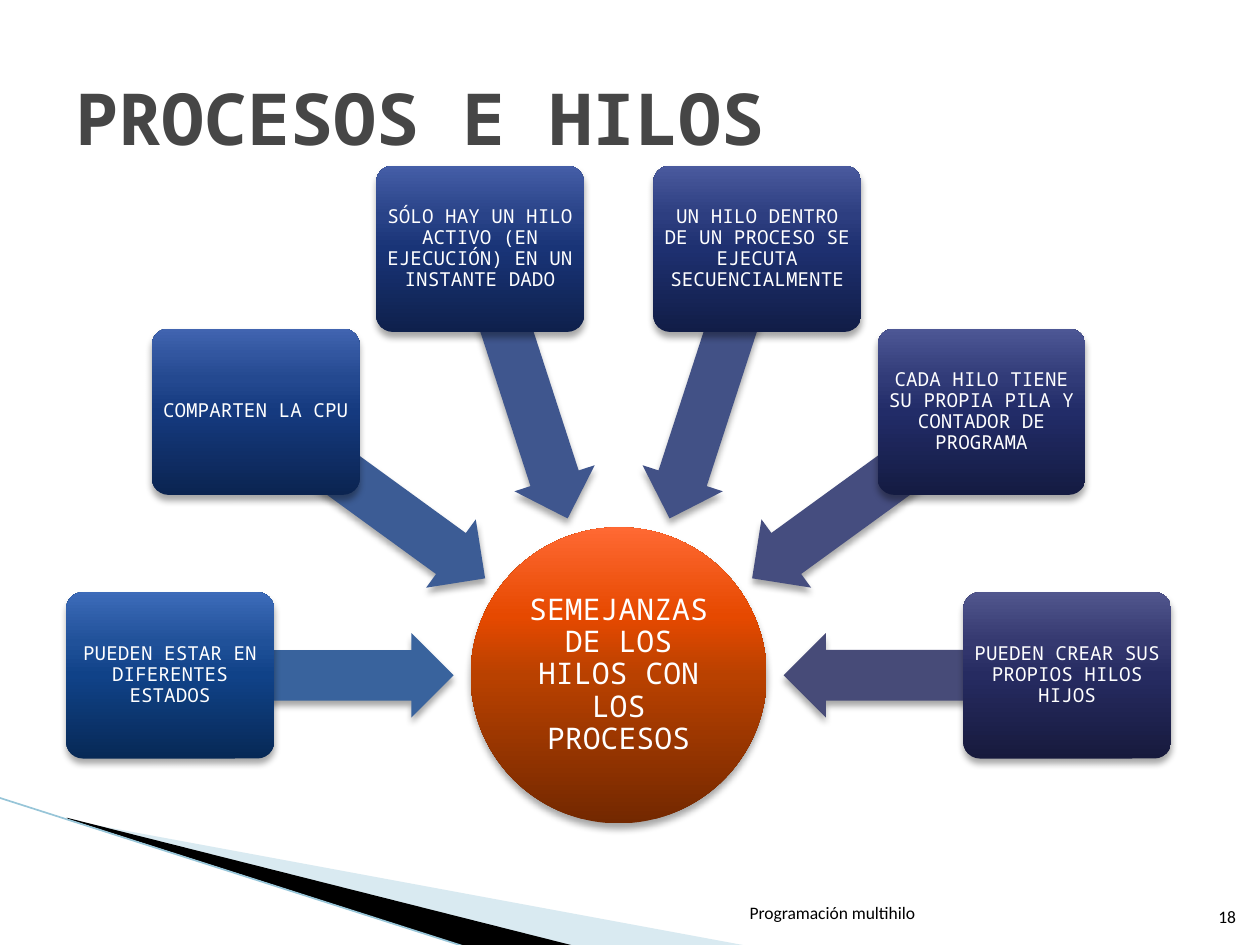
"""Build the slide on what threads and processes have in common."""
import copy
import math

import lxml.etree
import pptx
import pptx.dml.color
import pptx.enum.shapes
import pptx.enum.text
import pptx.oxml.ns
import pptx.util

Inches = pptx.util.Inches
Pt = pptx.util.Pt
RGB = pptx.dml.color.RGBColor
KIND = pptx.enum.shapes.MSO_SHAPE
ALIGN = pptx.enum.text.PP_ALIGN
ANCHOR = pptx.enum.text.MSO_ANCHOR
qn = pptx.oxml.ns.qn

WHITE = RGB(0xFF, 0xFF, 0xFF)
BLACK = RGB(0x00, 0x00, 0x00)
GRAY = RGB(0x46, 0x46, 0x46)
PALE = RGB(0xA0, 0xCB, 0xDC)
EDGE = RGB(0x97, 0xC5, 0xD8)
MONO = "Noto Sans Mono"
STOPS = (0, 0.5, 0.7, 1)
ORANGE = ("732800", "B94100", "E64900", "FF6933")


def write(shape, text, align, anchor, inset, font):
    frame = shape.text_frame
    sides = ("margin_left", "margin_top", "margin_right", "margin_bottom")
    form = {"word_wrap": True, "vertical_anchor": anchor}
    form.update(dict.fromkeys(sides, Inches(inset)))
    for name, value in form.items():
        setattr(frame, name, value)
    line = frame.paragraphs[0]
    line.alignment = align
    run = line.add_run()
    run.text = text
    for name, value in font.items():
        if name == "color":
            run.font.color.rgb = value
        else:
            setattr(run.font, name, value)
    return line


def draw(kind, mid_x, mid_y, width, height, tones):
    shape = slide.shapes.add_shape(
        kind, Inches(mid_x - width / 2), Inches(mid_y - height / 2),
        Inches(width), Inches(height))
    shape.line.fill.background()
    if len(tones) == 1:
        shape.fill.solid()
        shape.fill.fore_color.rgb = RGB.from_string(tones[0])
    else:
        shape.fill.gradient()
        shape.fill.gradient_angle = 90
        stops = shape.element.spPr.find(".//" + qn("a:gsLst"))
        for _ in range(len(tones) - len(stops)):
            stops.append(copy.deepcopy(stops[0]))
        for stop, place, tone in zip(shape.fill.gradient_stops, STOPS, tones):
            stop.position = place
            stop.color.rgb = RGB.from_string(tone)
    shape.shadow.inherit = False
    shade = lxml.etree.SubElement(
        shape.element.spPr.find(qn("a:effectLst")), qn("a:outerShdw"),
        blurRad=str(Pt(4)), dist=str(Pt(3)), dir="5400000", rotWithShape="0")
    tint = lxml.etree.SubElement(shade, qn("a:srgbClr"), val="000000")
    lxml.etree.SubElement(tint, qn("a:alpha"), val="35000")
    return shape


deck = pptx.Presentation()
deck.slide_width, deck.slide_height = Inches(10), Inches(7.5)
slide = deck.slides.add_slide(deck.slide_layouts[5])

wedges = (
    (PALE, 40, ((0.55, 6.51), (5.95, 7.51), (4.56, 7.51), (0.55, 6.5))),
    (BLACK, 100, ((0.53, 6.49), (4.57, 7.51), (3.72, 7.52), (0.54, 6.5))),
)
for color, alpha, points in wedges:
    points = [(Inches(x), Inches(y)) for x, y in points]
    pen = slide.shapes.build_freeform(*points[0])
    pen.add_line_segments(points[1:])
    wedge = pen.convert_to_shape()
    wedge.shadow.inherit = False
    wedge.line.fill.background()
    wedge.fill.solid()
    wedge.fill.fore_color.rgb = color
    tint = wedge.element.spPr.find(".//" + qn("a:srgbClr"))
    lxml.etree.SubElement(tint, qn("a:alpha"), val=str(alpha * 1000))

edge = slide.shapes.add_connector(
    pptx.enum.shapes.MSO_CONNECTOR.STRAIGHT,
    Inches(-0.01), Inches(6.33), Inches(3.71), Inches(7.52))
edge.line.color.rgb = EDGE
edge.line.width = Pt(0.95)
lxml.etree.SubElement(edge.element.spPr, qn("a:effectLst"))

title = slide.shapes.title
place = {"left": 0.5, "top": 0.3, "width": 9, "height": 1.25}
for name, value in place.items():
    setattr(title, name, Inches(value))
write(title, "PROCESOS E HILOS", ALIGN.LEFT, ANCHOR.MIDDLE, 0.1,
      {"name": MONO, "size": Pt(41), "bold": True, "color": GRAY})

foot = {"name": "Calibri", "size": Pt(10), "color": BLACK}
for text, left, width in (("Programación multihilo", 4.79, 2.57),
                          ("18", 9.46, 0.4)):
    box = slide.shapes.add_textbox(
        Inches(left), Inches(7.01), Inches(width), Inches(0.4))
    write(box, text, ALIGN.RIGHT, ANCHOR.BOTTOM, 0.1 if width > 1 else 0.05,
          foot)

HUB_X, HUB_Y = 4.91, 5.36
label = {"name": MONO, "size": Pt(17), "color": WHITE}
hub = draw(KIND.OVAL, HUB_X, HUB_Y, 2.35, 2.35, ORANGE)
write(hub, "SEMEJANZAS DE LOS HILOS CON LOS PROCESOS", ALIGN.CENTER,
      ANCHOR.MIDDLE, 0.01, label).line_spacing = 0.9

label["size"] = Pt(11)
spokes = (
    ("PUEDEN ESTAR EN DIFERENTES ESTADOS", "39639D",
     ("072956", "104288", "205199", "3D6BB9")),
    ("COMPARTEN LA CPU", "3C5C95",
     ("0B2451", "153A7F", "244990", "4164B0")),
    ("SÓLO HAY UN HILO ACTIVO (EN EJECUCIÓN) EN UN INSTANTE DADO", "3F568E",
     ("0E204C", "193477", "294388", "455EA7")),
    ("UN HILO DENTRO DE UN PROCESO SE EJECUTA SECUENCIALMENTE", "425186",
     ("111D47", "1E3070", "2D3E80", "4A5A9E")),
    ("CADA HILO TIENE SU PROPIA PILA Y CONTADOR DE PROGRAMA", "454D7F",
     ("141B42", "222C68", "313B78", "4D5795")),
    ("PUEDEN CREAR SUS PROPIOS HILOS HIJOS", "474B78",
     ("171A3D", "262B61", "353970", "51568D")),
)
for index, (text, tone, tones) in enumerate(spokes):
    angle = 180 + 36 * index
    cos, sin = math.cos(math.radians(angle)), math.sin(math.radians(angle))
    arrow = draw(KIND.LEFT_ARROW, HUB_X + 2.44 * cos, HUB_Y + 2.44 * sin,
                 2.26, 0.67, (tone,))
    arrow.rotation = angle % 360
    arrow.adjustments[0], arrow.adjustments[1] = 0.6, 0.5
    card = draw(KIND.ROUNDED_RECTANGLE, HUB_X + 3.56 * cos,
                HUB_Y + 3.56 * sin, 1.65, 1.32, tones)
    card.adjustments[0] = 0.1
    write(card, text, ALIGN.CENTER, ANCHOR.MIDDLE, 0.02,
          label).line_spacing = 0.9

deck.save("out.pptx")
